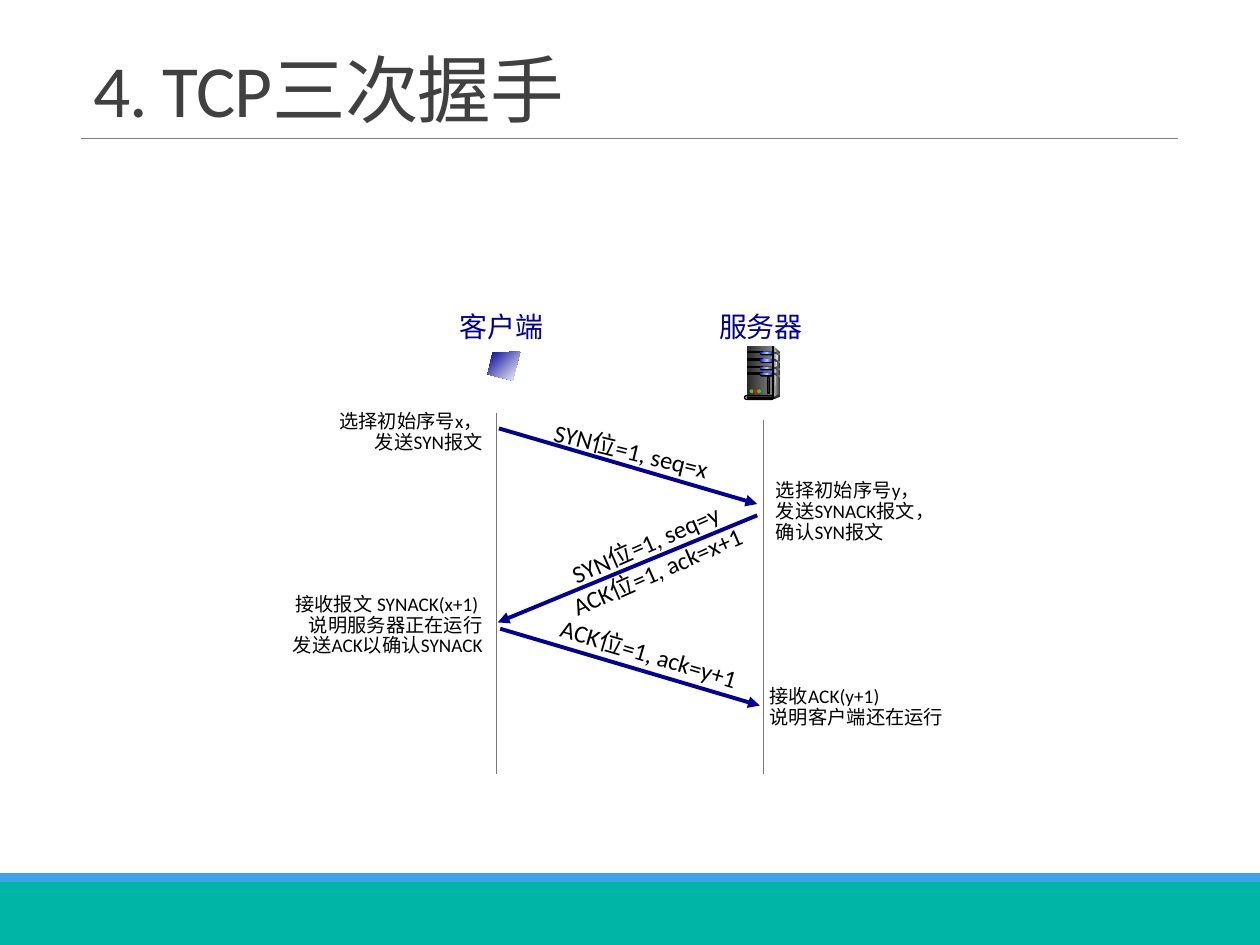
from copy import deepcopy

from lxml import etree
from pptx import Presentation
from pptx import util as u
from pptx.dml.color import RGBColor
from pptx.enum import shapes, text
from pptx.oxml import ns

BLACK = RGBColor(0x00, 0x00, 0x00)
WHITE = RGBColor(0xFF, 0xFF, 0xFF)
NAVY = RGBColor(0x00, 0x00, 0x99)
SKY = RGBColor(0x3D, 0xA3, 0xED)
TEAL = RGBColor(0x00, 0xB4, 0xA6)
TITLE_GRAY = RGBColor(0x40, 0x40, 0x40)
RULE_GRAY = RGBColor(0x80, 0x80, 0x80)
LIFELINE_GRAY = RGBColor(0x77, 0x77, 0x77)
COAL = RGBColor(0x29, 0x29, 0x29)
DARK = RGBColor(0x33, 0x33, 0x33)
LIGHT = RGBColor(0xDD, 0xDD, 0xDD)
PALE = RGBColor(0xF8, 0xF8, 0xF8)
BLUE = RGBColor(0x00, 0x00, 0xFF)
ICE = RGBColor(0x99, 0xCC, 0xFF)
GREEN = RGBColor(0x33, 0xCC, 0x33)
RED = RGBColor(0xFF, 0x00, 0x00)

RECT = shapes.MSO_SHAPE.RECTANGLE
PILL = shapes.MSO_SHAPE.ROUNDED_RECTANGLE
OVAL = shapes.MSO_SHAPE.OVAL
LEFT = text.PP_ALIGN.LEFT
CENTER = text.PP_ALIGN.CENTER
RIGHT = text.PP_ALIGN.RIGHT


def write_text(frame, lines, size=11, color=BLACK, align=LEFT, spacing=None,
               tracking=None, font="Calibri"):
    for index, line in enumerate(lines):
        para = frame.paragraphs[0] if index == 0 else frame.add_paragraph()
        para.alignment = align
        if spacing:
            para.line_spacing = spacing
        span = para.add_run()
        span.text = line
        span.font.name = font
        span.font.size = u.Pt(size)
        span.font.color.rgb = color
        if tracking is not None:
            span.font._element.set("spc", str(tracking))


class Painter:
    def __init__(self, page):
        self.page = page

    def paint(self, shape, colors, line, angle=0):
        shape.shadow.inherit = False
        if len(colors) == 1:
            shape.fill.solid()
            shape.fill.fore_color.rgb = colors[0]
        else:
            shape.fill.gradient()
            shape.fill.gradient_angle = angle
            stop_list = shape._element.spPr.find(".//" + ns.qn("a:gsLst"))
            for _ in colors[2:]:
                stop_list.append(deepcopy(stop_list[0]))
            for index, (stop, color) in enumerate(zip(shape.fill.gradient_stops, colors)):
                stop.position = index / (len(colors) - 1)
                stop.color.rgb = color
        if line is None:
            shape.line.fill.background()
        else:
            shape.line.color.rgb = line
            shape.line.width = u.Pt(0.75)

    def block(self, kind, left, top, width, height, *colors, line=None):
        shape = self.page.shapes.add_shape(
            kind, u.Inches(left), u.Inches(top), u.Inches(width), u.Inches(height))
        if kind == PILL:
            shape.adjustments[0] = 0.5
        self.paint(shape, colors, line)

    def outline(self, points, *colors, angle=0):
        corners = [(u.Inches(x), u.Inches(y)) for x, y in points]
        builder = self.page.shapes.build_freeform(*corners[0])
        builder.add_line_segments(corners[1:], close=True)
        self.paint(builder.convert_to_shape(), colors, None, angle)

    def line(self, start, end, color, width, arrow=False):
        connector = self.page.shapes.add_connector(
            shapes.MSO_CONNECTOR.STRAIGHT, *[u.Inches(value) for value in start + end])
        connector.line.color.rgb = color
        connector.line.width = u.Pt(width)
        if arrow:
            etree.SubElement(connector.line._get_or_add_ln(), ns.qn("a:tailEnd"),
                             type="triangle")
        etree.SubElement(connector._element.spPr, ns.qn("a:effectLst"))

    def label(self, left, top, width, height, *lines, rotation=0, grow=True,
              anchor=text.MSO_ANCHOR.TOP, **style):
        box = self.page.shapes.add_textbox(
            u.Inches(left), u.Inches(top), u.Inches(width), u.Inches(height))
        box.rotation = rotation
        frame = box.text_frame
        frame.word_wrap = True
        frame.vertical_anchor = anchor
        if grow:
            frame.auto_size = text.MSO_AUTO_SIZE.SHAPE_TO_FIT_TEXT
        write_text(frame, lines, **style)

    def server(self):
        self.outline([(6.14, 2.75), (6.19, 2.8), (6.19, 3.13), (6.13, 3.15)], LIGHT, DARK)
        self.block(RECT, 5.93, 2.75, 0.2, 0.4, COAL, RULE_GRAY)
        self.outline([(6.14, 2.77), (6.17, 2.8), (6.16, 3), (6.14, 3.14)], RULE_GRAY, PALE)
        slots = [2.79, 2.85, 2.91, 2.96]
        for top in slots:
            self.block(RECT, 5.93, top, 0.12, 0.01, BLACK, line=BLACK)
            self.block(PILL, 6.03, top, 0.11, 0.03, BLACK)
            self.block(PILL, 6.03, top, 0.11, 0.02, BLUE, ICE, BLUE)
        self.block(RECT, 6.13, 2.75, 0.01, 0.4, DARK, LIGHT, DARK, line=BLACK)
        for top in slots:
            self.outline([(6.14, top), (6.19, top + 0.02), (6.19, top + 0.03),
                          (6.14, top + 0.01)], COAL, RULE_GRAY)
        self.block(OVAL, 6.18, 3.13, 0.01, 0.02, DARK)
        self.outline([(6.14, 3.15), (6.14, 3.17), (6.19, 3.15), (6.18, 3.13)], DARK)
        self.block(PILL, 5.91, 3.14, 0.23, 0.03, LIGHT, line=BLACK)
        self.block(PILL, 5.93, 3.15, 0.21, 0.01, BLACK, RULE_GRAY, line=BLACK)
        for index, color in enumerate([GREEN, RED, GREEN]):
            self.block(OVAL, 5.95 + 0.03 * index, 3.09, 0.03, 0.03, color)
        self.block(RECT, 6.09, 2.99, 0.02, 0.13, COAL, line=BLACK)


def main():
    deck = Presentation()
    deck.slide_width, deck.slide_height = u.Inches(10), u.Inches(7.5)
    painter = Painter(deck.slides.add_slide(deck.slide_layouts[6]))

    painter.block(RECT, 0, 6.93, 10, 0.07, SKY)
    painter.block(RECT, 0, 7, 10, 0.5, TEAL)
    painter.line((0.64, 1.1), (9.35, 1.1), RULE_GRAY, 0.5)
    painter.label(0.64, 0.31, 8.71, 0.79, "4. TCP三次握手", size=42, color=TITLE_GRAY,
                  spacing=0.85, tracking=-50, grow=False, anchor=text.MSO_ANCHOR.BOTTOM)

    for x, top in [(3.94, 3.28), (6.06, 3.33)]:
        painter.line((x, top), (x, 6.14), LIFELINE_GRAY, 0.75)
    for start, end in [((3.96, 3.4), (6.01, 4)), ((6.01, 4.09), (3.95, 4.94)),
                       ((3.97, 4.99), (6.03, 5.6))]:
        painter.line(start, end, NAVY, 2.25, arrow=True)

    messages = [
        ((4.28, 3.41, 1.46, 0.34), 13.8, ["SYN位=1, seq=x"]),
        ((4.34, 4.14, 1.66, 0.57), 336.4, ["SYN位=1, seq=y", "ACK位=1, ack=x+1"]),
        ((4.32, 5.02, 1.66, 0.34), 16.5, ["ACK位=1, ack=y+1"]),
    ]
    for place, rotation, lines in messages:
        painter.label(*place, *lines, rotation=rotation, size=14, align=CENTER)

    notes = [
        ((2.58, 3.22, 1.35, 0.43), RIGHT, ["选择初始序号x，", "发送SYN报文"]),
        ((6.06, 3.77, 1.51, 0.6), LEFT,
         ["选择初始序号y，", "发送SYNACK报文，", "确认SYN报文"]),
        ((2.05, 4.67, 1.88, 0.6), RIGHT,
         ["接收报文 SYNACK(x+1) ", "说明服务器正在运行", "发送ACK以确认SYNACK"]),
        ((6.01, 5.4, 1.77, 0.43), LEFT, ["接收ACK(y+1)", "说明客户端还在运行"]),
    ]
    for place, align, lines in notes:
        painter.label(*place, *lines, align=align, spacing=0.9)

    for left, name in [(3.53, "客户端"), (5.59, "服务器")]:
        painter.label(left, 2.41, 0.88, 0.37, name, size=16, color=NAVY, align=RIGHT)
    painter.outline([(4.13, 2.79), (3.91, 2.8), (3.87, 2.97), (4.07, 3.02)],
                    NAVY, WHITE, angle=315)
    painter.server()
    deck.save("out.pptx")


if __name__ == "__main__":
    main()
